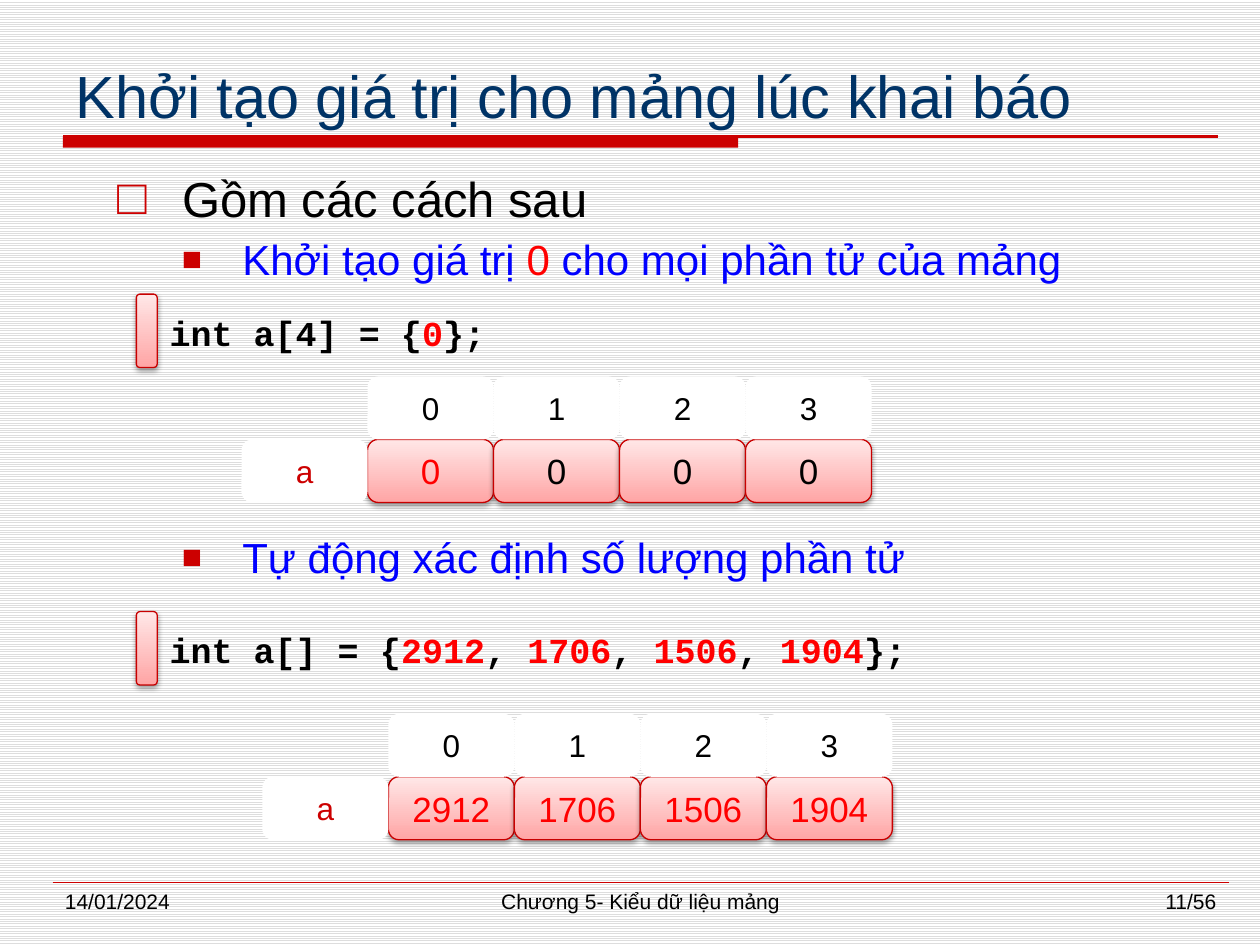
from lxml import etree
from pptx import Presentation
from pptx.dml.color import RGBColor
from pptx.enum.dml import MSO_PATTERN
from pptx.enum.shapes import MSO_CONNECTOR, MSO_SHAPE
from pptx.enum.text import MSO_ANCHOR, PP_ALIGN
from pptx.oxml import parse_xml
from pptx.oxml.ns import qn
from pptx.util import Cm, Pt

LIGHT = MSO_PATTERN.LIGHT_HORIZONTAL
LINE = MSO_CONNECTOR.STRAIGHT
RECT, ROUND = MSO_SHAPE.RECTANGLE, MSO_SHAPE.ROUNDED_RECTANGLE
TOP, MID, LOW = MSO_ANCHOR.TOP, MSO_ANCHOR.MIDDLE, MSO_ANCHOR.BOTTOM
LEFT, MIDST, RIGHT = PP_ALIGN.LEFT, PP_ALIGN.CENTER, PP_ALIGN.RIGHT
FULL = PP_ALIGN.JUSTIFY

BLACK = RGBColor(0, 0, 0)
WHITE = RGBColor(255, 255, 255)
GREY = RGBColor(0xDD, 0xDD, 0xDD)
NAVY = RGBColor(0, 0x33, 0x66)
BLUE = RGBColor(0, 0, 255)
RED = RGBColor(255, 0, 0)
BRICK = RGBColor(0xCC, 0, 0)
EDGE = RGBColor(0xC8, 0, 0)
PALE = RGBColor(0xFF, 0xE7, 0xE7)
ROSE = RGBColor(0xFF, 0xA5, 0xA5)
SANS, MONO = "Arial", "Courier New"
SPACE = "http://schemas.openxmlformats.org/drawingml/2006/main"
SHADE = (
    f'<a:effectLst xmlns:a="{SPACE}"><a:outerShdw blurRad="40000" dist="20000" '
    'dir="5400000" rotWithShape="0"><a:srgbClr val="000000">'
    '<a:alpha val="38000"/></a:srgbClr></a:outerShdw></a:effectLst>'
)


def write(para, runs, size, face=SANS, bold=False, align=LEFT):
    """Add (text, colour) runs to a paragraph."""
    para.alignment = align
    for text, color in runs:
        run = para.add_run()
        run.text = text
        font = run.font
        font.name, font.size, font.bold = face, Pt(size), bold
        font.color.rgb = color


def place(shape, left, top, width, height):
    """Move a shape to a box in centimetres."""
    shape.left, shape.top = Cm(left), Cm(top)
    shape.width, shape.height = Cm(width), Cm(height)


def label(slide, box, runs, size, **style):
    """Add a wrapping text box with one line."""
    shape = slide.shapes.add_textbox(*map(Cm, box))
    shape.text_frame.word_wrap = True
    write(shape.text_frame.paragraphs[0], runs, size, **style)


def rule(slide, left, top, width, weight):
    """Draw a level red line without a shadow."""
    line = slide.shapes.add_connector(
        LINE, Cm(left), Cm(top), Cm(left + width), Cm(top))
    line.line.color.rgb = BRICK
    line.line.width = Pt(weight)
    props = line._element.spPr
    etree.SubElement(props, qn("a:effectLst"))


def block(slide, box, glow, round_by=0.17):
    """Draw a rounded box, either glossy red or plain white."""
    shape = slide.shapes.add_shape(ROUND, *map(Cm, box))
    shape.adjustments[0] = round_by
    shape.shadow.inherit = False
    if not glow:
        shape.fill.solid()
        shape.fill.fore_color.rgb = WHITE
        shape.line.fill.background()
        return shape
    shape.fill.gradient()
    shape.fill.gradient_angle = 90
    for stop, color in zip(shape.fill.gradient_stops, (ROSE, PALE)):
        stop.color.rgb = color
    first, last = shape.fill.gradient_stops
    first.position, last.position = 0, 1
    shape.line.color.rgb = EDGE
    shape.line.width = Pt(0.75)
    props = shape._element.spPr
    props.replace(props.find(qn("a:effectLst")), parse_xml(SHADE))
    return shape


def cell(slide, box, text, color, size, glow=False):
    """Draw one array cell with centred text."""
    frame = block(slide, box, glow).text_frame
    frame.word_wrap = False
    frame.vertical_anchor = MID
    write(frame.paragraphs[0], [(text, color)], size, align=MIDST)


def array(slide, left, top, items):
    """Draw an array: indexes above, values below, name at the left."""
    wide, high = 2.54, 1.27
    for i, (text, color) in enumerate(items):
        x = left + (i + 1) * wide
        cell(slide, (x, top + high, wide, high), text, color, 20, True)
        cell(slide, (x, top, wide, high), str(i), BLACK, 18)
    cell(slide, (left, top + high, wide, high), "a", BRICK, 18)


def code(slide, left, top, runs):
    """Draw a line of code with a red tab at its left."""
    block(slide, (left, top, 0.42, 1.48), True)
    label(slide, (left + 0.42, top + 0.22, 20.32, 1.12), runs, 20,
          face=MONO, bold=True)


def heading(slide, left, top, width, height):
    """Fill the title and draw the red bar and line under it."""
    foot = top + height
    bar = slide.shapes.add_shape(
        RECT, Cm(left), Cm(foot), Cm(13.61), Cm(0.23))
    bar.shadow.inherit = False
    bar.fill.solid()
    bar.fill.fore_color.rgb = BRICK
    bar.line.fill.background()
    rule(slide, left, foot, width, 1.5)
    title = slide.shapes.title
    place(title, left, top, width, height)
    title.text_frame.vertical_anchor = LOW
    write(title.text_frame.paragraphs[0],
          [("Khởi tạo giá trị cho mảng lúc khai báo", NAVY)], 34)


def bullet(para, mark, scale, left, hang):
    """Give a paragraph a red bullet and a hanging indent."""
    props = para._p.get_or_add_pPr()
    props.set("marL", str(Cm(left)))
    props.set("indent", str(-Cm(hang)))
    color = etree.SubElement(props, qn("a:buClr"))
    etree.SubElement(color, qn("a:srgbClr"), val=str(BRICK))
    etree.SubElement(props, qn("a:buSzPct"), val=str(scale * 1000))
    etree.SubElement(props, qn("a:buFont"), typeface=SANS)
    etree.SubElement(props, qn("a:buChar"), char=mark)


def outline(slide, left, top, width, height):
    """Fill the body with its two levels of bullets."""
    body = slide.placeholders[1]
    place(body, left, top, width, height)
    frame = body.text_frame
    frame.vertical_anchor = TOP
    rows = [
        (0, 0, 28, [("Gồm các cách sau", BLACK)]),
        (1, 4, 24, [("Khởi tạo giá trị ", BLUE), ("0", RED),
                    (" cho mọi phần tử của mảng", BLUE)]),
        (1, 141.5, 24, [("Tự động xác định số lượng phần tử", BLUE)]),
    ]
    looks = [("□", 100, 1.3, 1.3), ("■", 80, 2.51, 1.22)]
    for i, (level, gap, size, runs) in enumerate(rows):
        para = frame.add_paragraph() if i else frame.paragraphs[0]
        para.level = level
        para.space_before = Pt(gap)
        bullet(para, *looks[level])
        write(para, runs, size, align=FULL)


def footer(slide, left, top, width, height):
    """Draw the thin line and the date, chapter and page number."""
    rule(slide, left, top, width, 0.25)
    side, mid = 5.5, 11
    parts = [
        (left, side, "14/01/2024", LEFT),
        (left + (width - mid) / 2, mid, "Chương 5- Kiểu dữ liệu mảng", MIDST),
        (left + width - side, side, "11/56", RIGHT),
    ]
    for x, wide, text, align in parts:
        label(slide, (x, top, wide, height), [(text, BLACK)], 12, align=align)


def main():
    """Build and save the slide."""
    deck = Presentation()
    deck.slide_width, deck.slide_height = Cm(25.4), Cm(19.05)
    slide = deck.slides.add_slide(deck.slide_layouts[1])
    back = slide.background.fill
    back.patterned()
    back.pattern = LIGHT
    back.fore_color.rgb, back.back_color.rgb = GREY, WHITE
    heading(slide, 1.27, 0.85, 23.28, 1.9)
    outline(slide, 2.12, 3.26, 22.01, 14.4)
    zeros = [("0", RED)] + [("0", BLACK)] * 3
    code(slide, 2.75, 5.93, [("int a[4] = {", BLACK), ("0", RED), ("};", BLACK)])
    array(slide, 4.87, 7.59, zeros)
    years = [(text, RED) for text in ("2912", "1706", "1506", "1904")]
    comma = [part for year in years for part in (year, (", ", BLACK))][:-1]
    code(slide, 2.75, 12.33, [("int a[] = {", BLACK), *comma, ("};", BLACK)])
    array(slide, 5.29, 14.39, years)
    footer(slide, 1.06, 17.78, 23.71, 0.88)
    deck.save("out.pptx")


if __name__ == "__main__":
    main()
